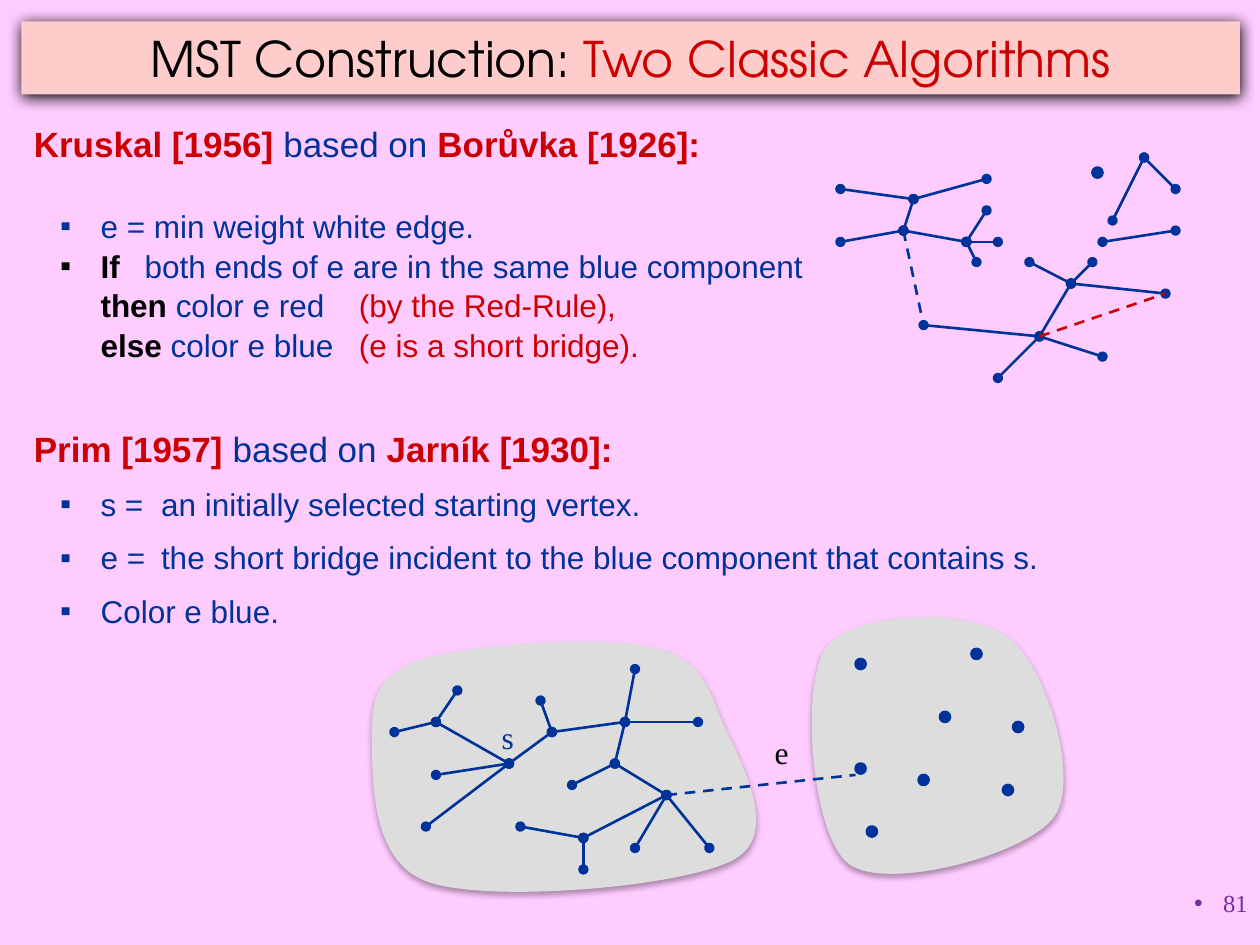
from dataclasses import dataclass

from lxml import etree
from pptx import Presentation
from pptx import util as u
from pptx.dml.color import RGBColor
from pptx.enum import dml, shapes, text
from pptx.oxml import ns

BLUE, RED, BLACK = "003399", "CC0000", "000000"
GREY, PURPLE = "DDDDDD", "7030A0"
SANS, SERIF, TITLE_FONT = "Arial", "Times New Roman", "TeX Gyre Adventor"
DOT = 0.08
Point = tuple[float, float]


@dataclass
class Span:
    words: str
    color: str = BLUE
    bold: bool = False


@dataclass
class Star:
    """A vertex and the neighbours it is joined to."""
    hub: Point
    leaves: list[Point]


@dataclass
class Blob:
    """A closed outline: each curve has two control points and an end."""
    start: Point
    curves: list[tuple[Point, Point, Point]]


BREAK = Span("\n")

KRUSKAL_FOREST = [
    Star((8.5, 2.25), [(8.17, 2.08), (8.67, 2.08), (9.25, 2.33)]),
    Star((8.25, 2.67), [(8.5, 2.25), (8.75, 2.83), (7.33, 2.58), (7.92, 3)]),
    Star((7.25, 1.58), [(7.83, 1.42), (6.67, 1.5), (7.17, 1.83)]),
    Star((7.17, 1.83), [(6.67, 1.92), (7.67, 1.92)]),
    Star((7.67, 1.92), [(7.83, 1.67), (7.92, 1.92), (7.75, 2.08)]),
    Star((9.08, 1.25), [(8.83, 1.75), (9.33, 1.5)]),
    Star((8.75, 1.92), [(9.33, 1.83)]),
]
PRIM_TREE = [
    Star((4.96, 5.73), [(4.88, 6.06), (4.38, 5.81), (5.54, 5.73), (5.04, 5.31)]),
    Star((4.88, 6.06), [(4.54, 6.23), (5.29, 6.31)]),
    Star((4.38, 5.81), [(4.29, 5.56), (4.04, 6.06)]),
    Star((5.29, 6.31), [(5.04, 6.73), (5.63, 6.73), (4.63, 6.65)]),
    Star((4.63, 6.65), [(4.13, 6.56), (4.63, 6.9)]),
    Star((4.04, 6.06), [(3.46, 5.73), (3.46, 6.15), (3.38, 6.56)]),
    Star((3.46, 5.73), [(3.63, 5.48), (3.13, 5.81)]),
]
LONE_VERTICES = [(8.71, 1.37), (6.83, 5.27), (8, 6.27), (6.92, 6.6), (7.5, 5.69),
                 (6.83, 6.1), (7.75, 5.19), (7.33, 6.19), (8.08, 5.77)]
CANDIDATES = [((8.25, 2.67), (9.25, 2.33), RED),
              ((7.17, 1.83), (7.33, 2.58), BLUE),
              ((5.29, 6.31), (6.79, 6.15), BLUE)]
BLOBS = [
    Blob((6.55, 5.15), [((6.76, 4.85), (7.68, 4.82), (7.99, 5.05)),
                        ((8.29, 5.25), (8.58, 6.17), (8.37, 6.48)),
                        ((8.16, 6.78), (7.05, 7.08), (6.74, 6.86)),
                        ((6.44, 6.64), (6.35, 5.45), (6.55, 5.15))]),
    Blob((3.36, 5.23), [((3.72, 5.11), (4.74, 5.05), (5.14, 5.13)),
                        ((5.53, 5.2), (5.61, 5.41), (5.72, 5.7)),
                        ((5.84, 5.98), (6.22, 6.6), (5.83, 6.82)),
                        ((5.44, 7.04), (3.88, 7.17), (3.4, 7)),
                        ((2.92, 6.84), (2.96, 6.13), (2.95, 5.83)),
                        ((2.95, 5.54), (2.99, 5.35), (3.36, 5.23))]),
]


def rgb(code: str) -> RGBColor:
    return RGBColor.from_string(code)


def add_element(parent, tag: str, **attributes):
    return etree.SubElement(parent, ns.qn(tag), attributes)


def add_shadow(shape, opacity: int, blur: float, distance: float) -> None:
    shape.shadow.inherit = False
    effects = shape._element.spPr.find(ns.qn("a:effectLst"))
    shadow = add_element(effects, "a:outerShdw", blurRad=str(u.Pt(blur)),
                         dist=str(u.Pt(distance)), dir="5400000", rotWithShape="0")
    color = add_element(shadow, "a:srgbClr", val=BLACK)
    add_element(color, "a:alpha", val=str(opacity * 1000))


def add_spans(para, spans: list[Span], size: float, font: str) -> None:
    for span in spans:
        if span is BREAK:
            para.add_line_break()
            continue
        run = para.add_run()
        run.text = span.words
        run.font.size, run.font.name = u.Pt(size), font
        run.font.bold = span.bold
        run.font.color.rgb = rgb(span.color)


def set_bullet(para, char: str, indent: float, hang: float, tabs=()) -> None:
    props = para._p.get_or_add_pPr()
    props.set("marL", str(u.Inches(indent)))
    props.set("indent", str(-u.Inches(hang)))
    add_element(props, "a:buFont", typeface=SANS)
    add_element(props, "a:buChar", char=char)
    if tabs:
        stops = add_element(props, "a:tabLst")
        for stop in tabs:
            add_element(stops, "a:tab", pos=str(u.Inches(stop)), algn="l")


def add_box(slide, left: float, top: float, width: float, height: float, wrap=True):
    box = slide.shapes.add_textbox(*map(u.Inches, (left, top, width, height)))
    box.text_frame.word_wrap = wrap
    return box.text_frame


def add_algorithm(frame, heading: list[Span], steps: list[list[Span]],
                  gaps: list[float], tabs: list[float], spacing: float) -> None:
    para = frame.paragraphs[0]
    para.line_spacing = spacing
    add_spans(para, heading, 20, SANS)
    for step, gap in zip(steps, gaps):
        para = frame.add_paragraph()
        para.level = 1
        set_bullet(para, "▪", 0.53, 0.32, tabs)
        para.line_spacing, para.space_before = spacing, u.Pt(gap)
        add_spans(para, step, 18, SANS)


def add_edge(slide, start: Point, end: Point, color=BLUE, dashed=False) -> None:
    edge = slide.shapes.add_connector(shapes.MSO_CONNECTOR.STRAIGHT,
                                      *map(u.Inches, start + end))
    edge.line.width = u.Pt(1.5)
    edge.line.color.rgb = rgb(color)
    if dashed:
        edge.line.dash_style = dml.MSO_LINE.DASH
    else:
        for tag in ("a:headEnd", "a:tailEnd"):
            add_element(edge.line._get_or_add_ln(), tag, type="oval")
    add_element(edge._element.spPr, "a:effectLst")


def add_vertex(slide, center: Point) -> None:
    left, top = (u.Inches(value - DOT / 2) for value in center)
    dot = slide.shapes.add_shape(shapes.MSO_SHAPE.OVAL, left, top,
                                 u.Inches(DOT), u.Inches(DOT))
    dot.shadow.inherit = False
    dot.fill.solid()
    dot.fill.fore_color.rgb = dot.line.color.rgb = rgb(BLUE)
    dot.line.width = u.Pt(1.5)


def add_blob(slide, blob: Blob) -> None:
    """Build the outline from all its points, then merge each three into a curve."""
    builder = slide.shapes.build_freeform(*map(u.Inches, blob.start))
    builder.add_line_segments([tuple(map(u.Inches, point))
                               for curve in blob.curves for point in curve], close=True)
    shape = builder.convert_to_shape()
    segments = list(shape._element.iter(ns.qn("a:lnTo")))
    for first in range(0, 3 * len(blob.curves), 3):
        curve = etree.Element(ns.qn("a:cubicBezTo"))
        segments[first].addprevious(curve)
        for segment in segments[first:first + 3]:
            curve.append(segment[0])
            segment.getparent().remove(segment)
    shape.fill.solid()
    shape.fill.fore_color.rgb = rgb(GREY)
    shape.line.fill.background()
    add_shadow(shape, 32, 3.5, 2.2)


def add_label(slide, left: float, top: float, span: Span) -> None:
    para = add_box(slide, left, top, 0.3, 0.4, wrap=False).paragraphs[0]
    para.alignment = text.PP_ALIGN.CENTER
    add_spans(para, [span], 18, SERIF)


def add_title(slide) -> None:
    title = slide.shapes.title
    title.left, title.top, title.width, title.height = map(
        u.Inches, (0.17, 0.17, 9.67, 0.58))
    title.fill.solid()
    title.fill.fore_color.rgb = rgb("FFCCCC")
    add_shadow(title, 100, 8.5, 1)
    title.text_frame.vertical_anchor = text.MSO_ANCHOR.MIDDLE
    para = title.text_frame.paragraphs[0]
    para.alignment = text.PP_ALIGN.CENTER
    add_spans(para, [Span("MST Construction: ", BLACK),
                     Span("Two Classic Algorithms", RED)], 28, TITLE_FONT)


def main() -> None:
    deck = Presentation()
    deck.slide_width, deck.slide_height = u.Inches(10), u.Inches(7.5)
    slide = deck.slides.add_slide(deck.slide_layouts[5])
    slide.background.fill.solid()
    slide.background.fill.fore_color.rgb = rgb("FFCCFF")
    add_title(slide)

    add_algorithm(
        add_box(slide, 0.17, 0.91, 6.5, 2.03),
        [Span("Kruskal [1956] ", RED, True), Span("based on "),
         Span("Borůvka [1926]:", RED, True)],
        [[Span("e = min weight white edge.")],
         [Span("If", BLACK, True),
          Span("\tboth ends of e are in the same blue component"), BREAK,
          Span("then", BLACK, True), Span(" color e red\t"),
          Span("(by the Red-Rule),", RED), BREAK,
          Span("else", BLACK, True), Span(" color e blue\t"),
          Span("(e is a short bridge).", RED)]],
        gaps=[23, 0], tabs=[0.88, 2.58], spacing=1.05)
    add_algorithm(
        add_box(slide, 0.17, 3.34, 8.33, 1.79),
        [Span("Prim [1957] ", RED, True), Span("based on "),
         Span("Jarník [1930]:", RED, True)],
        [[Span("s =\tan initially selected starting vertex.")],
         [Span("e =\tthe short bridge incident to the blue component that contains s.")],
         [Span("Color e blue.")]],
        gaps=[9, 9, 9], tabs=[1.01], spacing=1)

    for blob in BLOBS:
        add_blob(slide, blob)
    for star in KRUSKAL_FOREST + PRIM_TREE:
        for leaf in star.leaves:
            add_edge(slide, star.hub, leaf)
    for start, end, color in CANDIDATES:
        add_edge(slide, start, end, color, dashed=True)
    for center in LONE_VERTICES:
        add_vertex(slide, center)
    add_label(slide, 3.88, 5.65, Span("s"))
    add_label(slide, 6.05, 5.77, Span("e", BLACK))

    number = add_box(slide, 7.92, 7, 2.08, 0.5).paragraphs[0]
    number.alignment = text.PP_ALIGN.RIGHT
    set_bullet(number, "•", 0.23, 0.23)
    add_spans(number, [Span("81", PURPLE)], 14, SERIF)
    deck.save("out.pptx")


if __name__ == "__main__":
    main()
